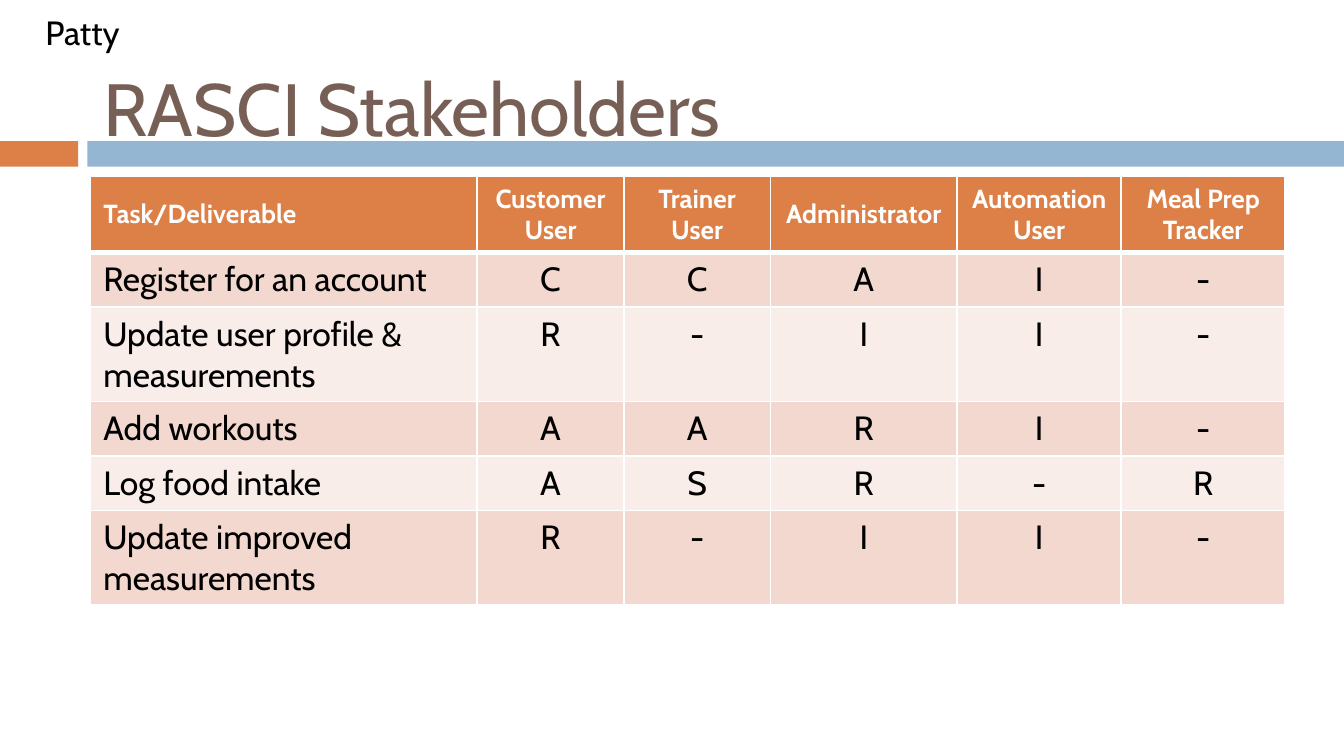
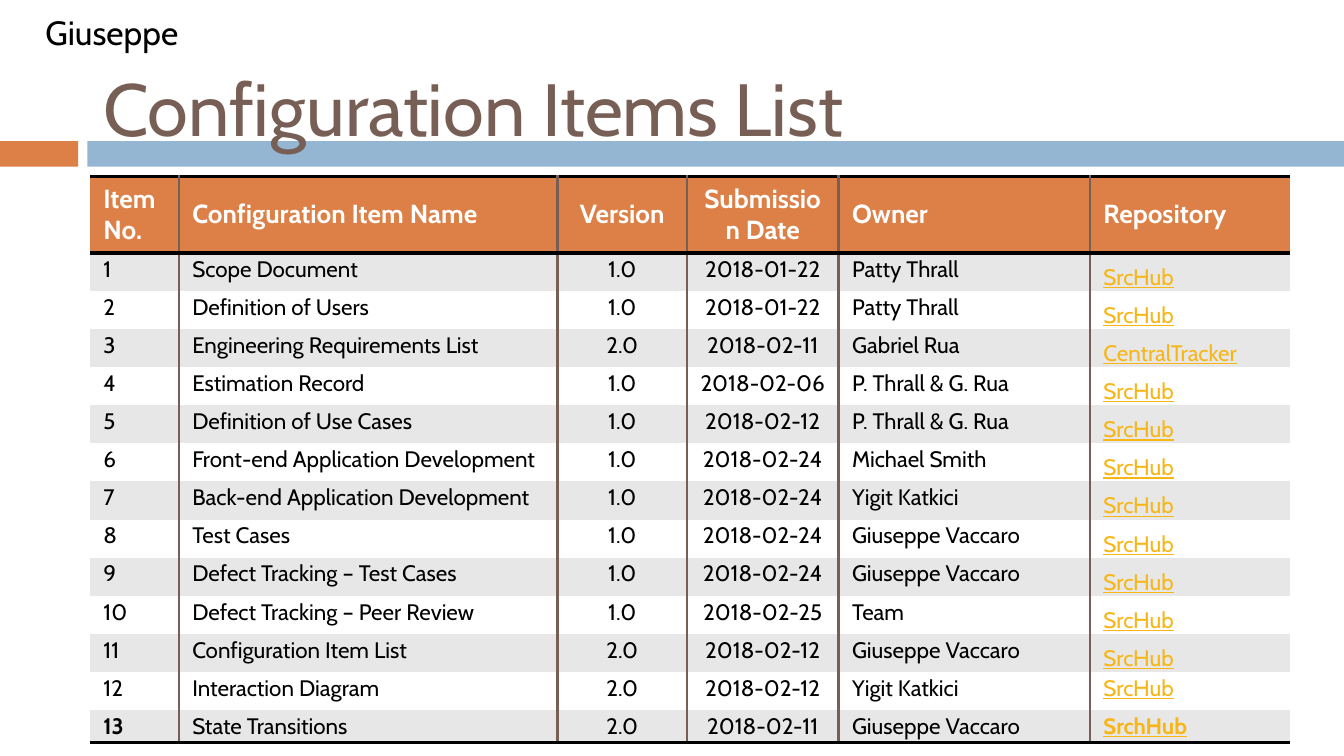
"""Build two project slides: a RASCI stakeholder matrix and a configuration items list."""
from dataclasses import dataclass

from lxml import etree
from pptx import Presentation
from pptx.dml.color import RGBColor
from pptx.enum.shapes import MSO_SHAPE
from pptx.enum.text import MSO_ANCHOR, MSO_AUTO_SIZE, PP_ALIGN
from pptx.oxml.ns import qn
from pptx.util import Cm, Pt

RECTANGLE = MSO_SHAPE.RECTANGLE
LEFT, CENTER = PP_ALIGN.LEFT, PP_ALIGN.CENTER
TOP, MIDDLE, BOTTOM = MSO_ANCHOR.TOP, MSO_ANCHOR.MIDDLE, MSO_ANCHOR.BOTTOM
FIXED_SIZE, GROW_SHAPE = MSO_AUTO_SIZE.NONE, MSO_AUTO_SIZE.SHAPE_TO_FIT_TEXT


@dataclass(frozen=True)
class Theme:
    """Colours, font and type sizes."""
    font: str = "Cabin"
    orange: str = "DD8047"
    blue: str = "94B6D2"
    brown: str = "775F55"
    black: str = "000000"
    white: str = "FFFFFF"
    link: str = "F7B615"
    matrix_bands: tuple = ("F2D8CF", "F9EDE9")
    list_bands: tuple = ("E7E7E7", "FFFFFF")
    title_size: float = 39.6
    text_size: int = 18
    header_size: int = 14
    item_size: int = 12


THEME = Theme()

BANDS = [(0, 1.48, THEME.orange), (1.65, 23.75, THEME.blue)]

RASCI = {
    "title": "RASCI Stakeholders",
    "presenter": ("Patty", 2.06),
    "headers": ["Task/Deliverable", "Customer User", "Trainer User",
                "Administrator", "Automation User", "Meal Prep Tracker"],
    "rows": [
        ("Register for an account", "C", "C", "A", "I", "-"),
        ("Update user profile & measurements", "R", "-", "I", "I", "-"),
        ("Add workouts", "A", "A", "R", "I", "-"),
        ("Log food intake", "A", "S", "R", "-", "R"),
        ("Update improved measurements", "R", "-", "I", "I", "-"),
    ],
    "widths": [7.32, 2.77, 2.77, 3.53, 3.1, 3.1],
    "heights": [1.39, 1.03, 1.79, 1.03, 1.03, 1.79],
    "centered": {1, 2, 3, 4, 5},
}

CONFIGURATION = {
    "title": "Configuration Items List",
    "presenter": ("Giuseppe", 3.05),
    "headers": ["Item No.", "Configuration Item Name", "Version",
                "Submission Date", "Owner", "Repository"],
    "rows": [
        ("1", "Scope Document", "1.0", "2018-01-22", "Patty Thrall", "SrcHub"),
        ("2", "Definition of Users", "1.0", "2018-01-22", "Patty Thrall", "SrcHub"),
        ("3", "Engineering Requirements List", "2.0", "2018-02-11", "Gabriel Rua", "CentralTracker"),
        ("4", "Estimation Record", "1.0", "2018-02-06", "P. Thrall & G. Rua", "SrcHub"),
        ("5", "Definition of Use Cases", "1.0", "2018-02-12", "P. Thrall & G. Rua", "SrcHub"),
        ("6", "Front-end Application Development", "1.0", "2018-02-24", "Michael Smith", "SrcHub"),
        ("7", "Back-end Application Development", "1.0", "2018-02-24", "Yigit Katkici", "SrcHub"),
        ("8", "Test Cases", "1.0", "2018-02-24", "Giuseppe Vaccaro", "SrcHub"),
        ("9", "Defect Tracking – Test Cases", "1.0", "2018-02-24", "Giuseppe Vaccaro", "SrcHub"),
        ("10", "Defect Tracking – Peer Review", "1.0", "2018-02-25", "Team", "SrcHub"),
        ("11", "Configuration Item List", "2.0", "2018-02-12", "Giuseppe Vaccaro", "SrcHub"),
        ("12", "Interaction Diagram", "2.0", "2018-02-12", "Yigit Katkici", "SrcHub"),
        ("13", "State Transitions", "2.0", "2018-02-11", "Giuseppe Vaccaro", "SrchHub"),
    ],
    "widths": [1.68, 7.16, 2.44, 2.87, 4.75, 3.78],
    "heights": [1.45] + [0.72] * 12 + [0.6],
    "centered": {2, 3},
}


def apply_format(target, values):
    """Set each named attribute on the target."""
    for name, value in values.items():
        setattr(target, name, value)


def write_text(text_frame, text, size, color, alignment=LEFT, **font_values):
    """Write one formatted paragraph."""
    paragraph = text_frame.paragraphs[0]
    paragraph.alignment = alignment
    run = paragraph.add_run()
    run.text = text
    apply_format(run.font, {"name": THEME.font, "size": Pt(size), **font_values})
    run.font.color.rgb = RGBColor.from_string(color)


def set_borders(cell, borders):
    """Draw the sides L, R, T and B given as (colour, points), and clear the rest."""
    properties = cell._tc.get_or_add_tcPr()
    for position, side in enumerate("LRTB"):
        line = etree.Element(qn(f"a:ln{side}"))
        if side in borders:
            color, points = borders[side]
            line.set("w", str(Pt(points)))
            fill = etree.SubElement(line, qn("a:solidFill"))
            etree.SubElement(fill, qn("a:srgbClr")).set("val", color)
        else:
            etree.SubElement(line, qn("a:noFill"))
        properties.insert(position, line)


def add_bands(slide):
    """Draw the two bands and move them to the layout that the slides share."""
    layout_tree = slide.slide_layout.shapes.element
    for number, (left, width, color) in enumerate(BANDS):
        band = slide.shapes.add_shape(RECTANGLE, Cm(left), Cm(2.67), Cm(width), Cm(0.48))
        band.shadow.inherit = False
        band.fill.solid()
        band.fill.fore_color.rgb = RGBColor.from_string(color)
        band.line.fill.background()
        band.name = f"Band {number + 1}"
        band.element.nvSpPr.cNvPr.set("id", str(101 + number))
        layout_tree.insert(2 + number, band.element)


def add_content_slide(presentation, content):
    """Add a slide with its title and presenter."""
    slide = presentation.slides.add_slide(presentation.slide_layouts[5])
    title = slide.shapes.title
    apply_format(title, {"left": Cm(1.7), "top": Cm(0.99), "width": Cm(22.66), "height": Cm(2.06)})
    apply_format(title.text_frame, {"vertical_anchor": MIDDLE, "word_wrap": True, "auto_size": FIXED_SIZE})
    write_text(title.text_frame, content["title"], THEME.title_size, THEME.brown)
    name, width = content["presenter"]
    presenter = slide.shapes.add_textbox(Cm(0.61), Cm(0.1), Cm(width), Cm(1.02))
    apply_format(presenter.text_frame, {"word_wrap": True, "auto_size": GROW_SHAPE})
    write_text(presenter.text_frame, name, THEME.text_size, THEME.black)
    return slide


def add_content_table(slide, content, bands, style_body, find_borders):
    """Add a table whose body cells and borders follow the given rules."""
    widths, heights = content["widths"], content["heights"]
    rows = [content["headers"], *content["rows"]]
    table = slide.shapes.add_table(len(rows), len(widths), Cm(1.7), Cm(3.33),
                                   Cm(sum(widths)), Cm(sum(heights))).table
    for column, width in zip(table.columns, widths):
        column.width = Cm(width)
    for row, height in zip(table.rows, heights):
        row.height = Cm(height)
    for row, values in enumerate(rows):
        for column, text in enumerate(values):
            cell = table.cell(row, column)
            if row == 0:
                cell_values = {"vertical_anchor": MIDDLE}
                text_values = {"size": THEME.header_size, "color": THEME.white, "bold": True}
                fill = THEME.orange
            else:
                cell_values, text_values = style_body(row, column)
                fill = bands[(row - 1) % 2]
            cell.fill.solid()
            cell.fill.fore_color.rgb = RGBColor.from_string(fill)
            apply_format(cell, cell_values)
            alignment = CENTER if column in content["centered"] else LEFT
            write_text(cell.text_frame, text, alignment=alignment, **text_values)
            set_borders(cell, find_borders(row, column))


def style_matrix(row, column):
    """Give the format of a RASCI body cell."""
    return {}, {"size": THEME.text_size, "color": THEME.black, "bold": False}


def matrix_borders(row, column):
    """Give white borders, thicker around the header's lower edge."""
    thin, thick = (THEME.white, 1), (THEME.white, 3)
    return {"L": thin, "R": thin, "T": thick if row == 1 else thin, "B": thick if row == 0 else thin}


def style_item(row, column):
    """Give the format of a configuration item cell."""
    last_row = len(CONFIGURATION["rows"])
    is_link = column == len(CONFIGURATION["headers"]) - 1
    is_low = is_link and row < last_row - 1
    margin = Cm(0 if is_low else 0.05)
    cell_values = {"vertical_anchor": BOTTOM if is_low else TOP,
                   "margin_top": margin, "margin_bottom": margin}
    text_values = {"size": THEME.item_size, "color": THEME.link if is_link else THEME.black,
                   "underline": is_link, "bold": row == last_row and (is_link or column == 0)}
    return cell_values, text_values


def item_borders(row, column):
    """Give brown lines between columns and black rules at the header and the end."""
    rule, divider = (THEME.black, 2), (THEME.brown, 1.5)
    borders = {}
    if column > 0:
        borders["L"] = divider
    if column < len(CONFIGURATION["headers"]) - 1:
        borders["R"] = divider
    if row in (0, 1):
        borders["T"] = rule
    if row in (0, len(CONFIGURATION["rows"])):
        borders["B"] = rule
    return borders


def main():
    """Build and save the presentation."""
    presentation = Presentation()
    apply_format(presentation, {"slide_width": Cm(25.4), "slide_height": Cm(14.29)})
    rasci_slide = add_content_slide(presentation, RASCI)
    add_bands(rasci_slide)
    add_content_table(rasci_slide, RASCI, THEME.matrix_bands, style_matrix, matrix_borders)
    configuration_slide = add_content_slide(presentation, CONFIGURATION)
    add_content_table(configuration_slide, CONFIGURATION, THEME.list_bands, style_item, item_borders)
    presentation.save("out.pptx")


if __name__ == "__main__":
    main()
